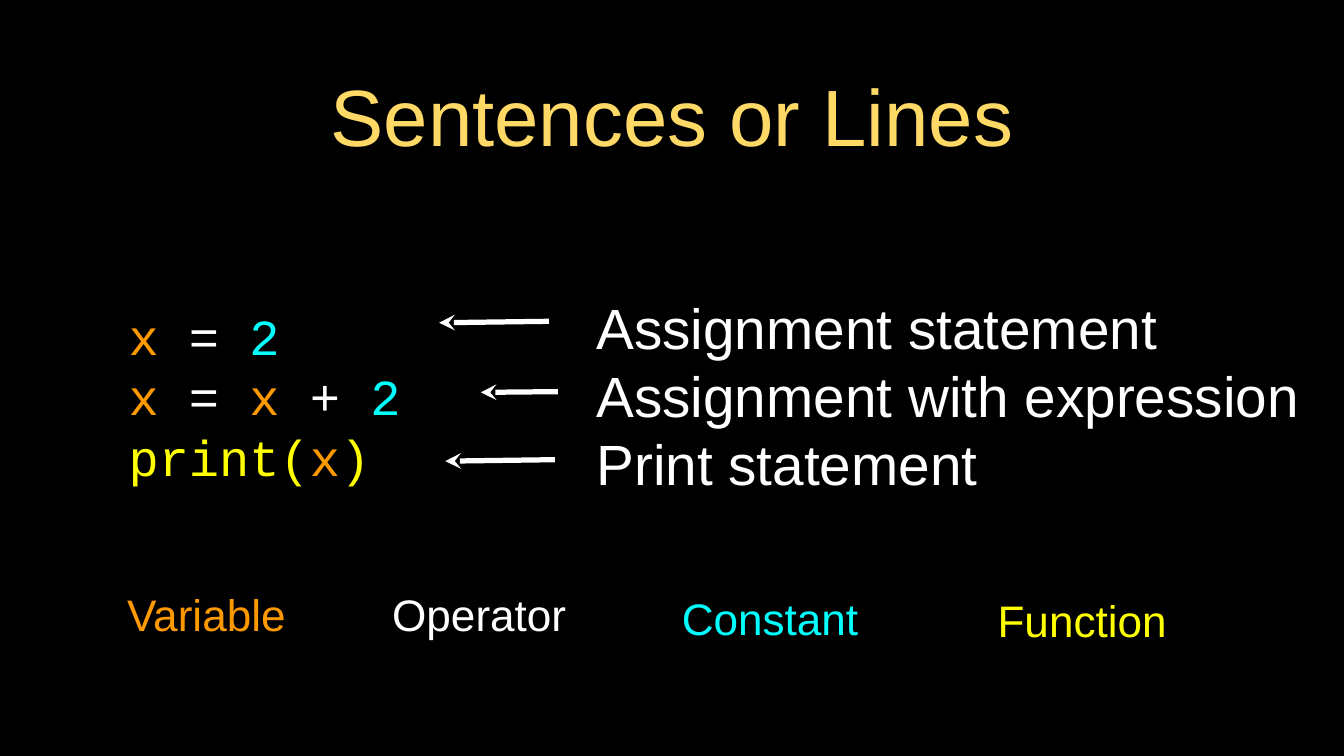
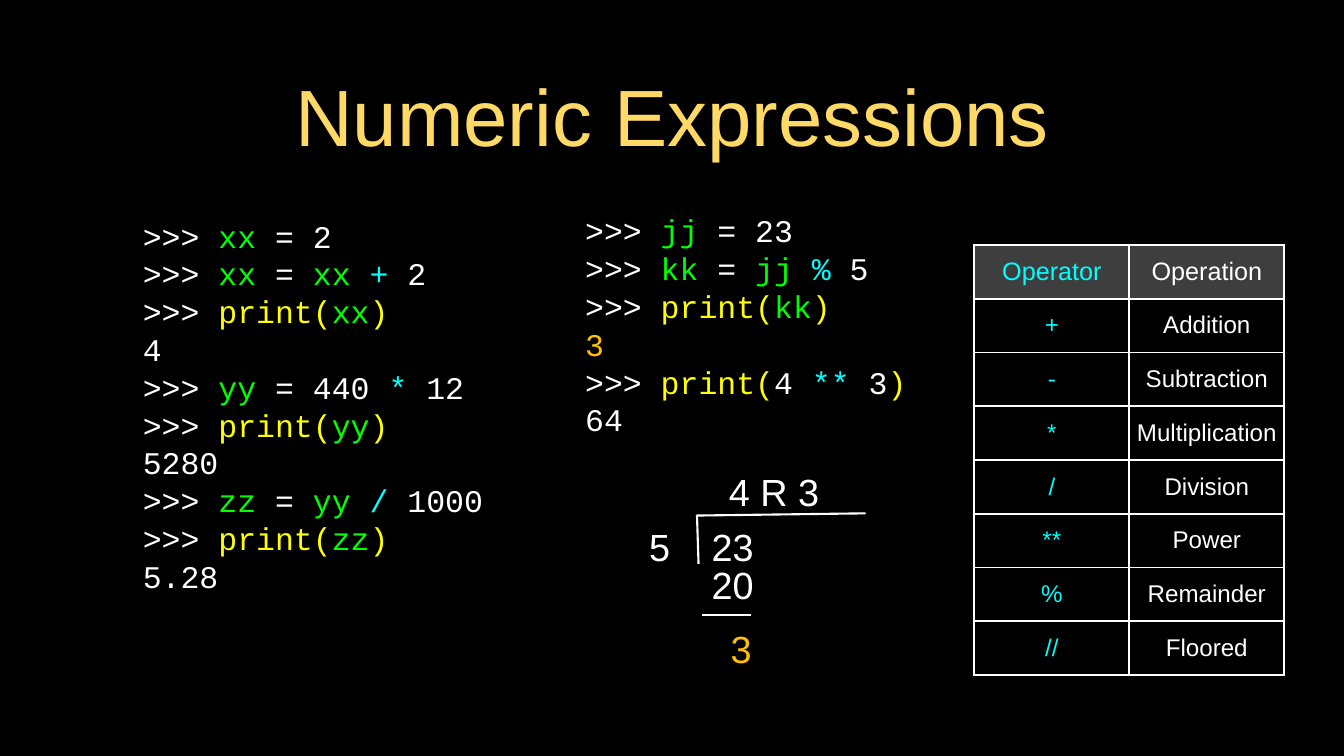
"""Build two slides on Python statements and numeric expressions."""
from lxml.etree import SubElement
from pptx import Presentation
from pptx.dml.color import RGBColor
from pptx.enum.shapes import MSO_CONNECTOR
from pptx.enum.text import MSO_ANCHOR, MSO_AUTO_SIZE, PP_ALIGN
from pptx.oxml.ns import qn
from pptx.util import Pt

COLORS = {"w": "FFFFFF", "o": "FF9900", "c": "00FFFF", "y": "FFFF00",
          "g": "00FF00", "a": "FFC000", "t": "FFD966"}
SANS, MONO = "Arial", "Courier New"
TITLE_BOX = (64, 62, 1152, 87)

STATEMENTS = ["ox ~w= ~c2", "ox ~w= ~ox ~w+ ~c2", "yprint(~ox~y)"]
MEANINGS = ["wAssignment statement", "wAssignment with expression", "wPrint statement"]
LEGEND = [("oVariable", 104.4, 554.4, 184.3), ("wOperator", 370, 554.4, 172.8),
          ("cConstant", 636.5, 558, 193.7), ("yFunction", 912.2, 559.4, 236.9)]
ARROWS = [(418.3, 307.4, 522.7, 306), (457.9, 373.7, 531.4, 373),
          (424.1, 439.2, 528.5, 437.8)]

ARITHMETIC = ["w>>> ~gxx~w = 2", "w>>> ~gxx~w = ~gxx ~c+~w 2", "w>>> ~yprint(~gxx~y)", "w4",
              "w>>> ~gyy~w = 440 ~c*~w 12", "w>>> ~yprint(~gyy~y)", "w5280",
              "w>>> ~gzz~w = ~gyy ~c/~w 1000", "w>>> ~yprint(~gzz~y)", "w5.28"]
REMAINDER = ["w>>> ~gjj~w = 23", "w>>> ~gkk~w = ~gjj ~c% ~w5", "w>>> ~yprint(~gkk~y)", "a3",
             "w>>> ~yprint(~w4 ~c** ~w3~y)", "w64"]
DIVISION = [("w5", 614.9, 493.9, 26.6), ("w23", 675.4, 493.9, 44.6),
            ("w4 R 3", 694.1, 441.4, 86.4), ("w20", 675.4, 529.9, 44.6),
            ("a3", 692.6, 591.1, 26.6)]
DIVISION_LINES = [(663.8, 490.3, 665.3, 537.1), (663.8, 491, 824.4, 488.9),
                  (668.9, 586.1, 715, 586.1)]
OPERATORS = [("Operator", "Operation"), ("+", "Addition"), ("-", "Subtraction"),
             ("*", "Multiplication"), ("/", "Division"), ("**", "Power"),
             ("%", "Remainder"), ("//", "Floored")]


def rgb(value):
    return RGBColor.from_string(value)


def fill_text(tf, lines, size, font, align, inset=0):
    """Write lines of '~'-separated segments, each led by its colour key."""
    tf.word_wrap = True
    tf.auto_size = MSO_AUTO_SIZE.NONE
    tf.vertical_anchor = MSO_ANCHOR.MIDDLE
    tf.margin_left = tf.margin_right = tf.margin_bottom = Pt(inset)
    tf.margin_top = Pt(inset + 0.1 * size)
    for i, line in enumerate(lines):
        p = tf.add_paragraph() if i else tf.paragraphs[0]
        p.alignment = align
        p.line_spacing = Pt(1.2 * size)
        for segment in line.split("~"):
            r = p.add_run()
            r.text = segment[1:]
            r.font.size, r.font.name = Pt(size), font
            r.font.color.rgb = rgb(COLORS[segment[0]])


def add_text(s, lines, box, size, font=SANS, align=PP_ALIGN.LEFT):
    sp = s.shapes.add_textbox(*map(Pt, box))
    fill_text(sp.text_frame, lines, size, font, align)


def add_labels(s, labels, height, size):
    for text, left, top, width in labels:
        add_text(s, [text], (left, top, width, height), size, align=PP_ALIGN.CENTER)


def add_lines(s, lines, width, arrow=False):
    for ends in lines:
        cn = s.shapes.add_connector(MSO_CONNECTOR.STRAIGHT, *map(Pt, ends))
        cn.line.color.rgb = rgb(COLORS["w"])
        cn.line.width = Pt(width)
        if arrow:
            SubElement(cn.line._get_or_add_ln(), qn("a:headEnd"), type="stealth")
        SubElement(cn._element.spPr, qn("a:effectLst"))


def add_borders(cell, width):
    pr = cell._tc.get_or_add_tcPr()
    for i, side in enumerate(("lnL", "lnR", "lnT", "lnB")):
        ln = pr.makeelement(qn("a:" + side), {"w": str(Pt(width))})
        SubElement(SubElement(ln, qn("a:solidFill")), qn("a:srgbClr"), val=COLORS["w"])
        pr.insert(i, ln)


def add_operator_table(s, rows, box):
    table = s.shapes.add_table(len(rows), 2, *map(Pt, box)).table
    table.horz_banding = False
    for row, values in zip(table.rows, rows):
        header = values == rows[0]
        row.height = Pt(box[3] / len(rows))
        for cell, value, key in zip(row.cells, values, "cw"):
            cell.text = value
            cell.vertical_anchor = MSO_ANCHOR.MIDDLE
            cell.margin_left = cell.margin_right = Pt(3)
            cell.margin_top = cell.margin_bottom = Pt(3)
            p = cell.text_frame.paragraphs[0]
            p.alignment = PP_ALIGN.CENTER
            font = p.runs[0].font
            font.size, font.name, font.bold = Pt(24 if header else 23), SANS, False
            font.color.rgb = rgb(COLORS[key])
            if header:
                cell.fill.solid()
                cell.fill.fore_color.rgb = rgb("7F7F7F")
                tint = cell._tc.tcPr.find(".//" + qn("a:srgbClr"))
                SubElement(tint, qn("a:alpha"), val="49000")
            else:
                cell.fill.background()
            add_borders(cell, 2)


def add_slide(prs, title):
    s = prs.slides.add_slide(prs.slide_layouts[5])
    sp = s.shapes.title
    sp.left, sp.top, sp.width, sp.height = map(Pt, TITLE_BOX)
    fill_text(sp.text_frame, ["t" + title], 76, SANS, PP_ALIGN.CENTER, 3)
    return s


def main():
    prs = Presentation()
    prs.slide_width, prs.slide_height = Pt(1280), Pt(720)
    background = prs.slide_master.background.fill
    background.solid()
    background.fore_color.rgb = rgb("000000")

    s = add_slide(prs, "Sentences or Lines")
    add_text(s, STATEMENTS, (122.4, 215.3, 315.4, 318.2), 48, MONO)
    add_labels(s, LEGEND, 56.9, 42)
    add_text(s, MEANINGS, (568, 213.8, 693.4, 318.2), 54)
    add_lines(s, ARROWS, 5, arrow=True)

    s = add_slide(prs, "Numeric Expressions")
    add_text(s, ARITHMETIC, (136, 175.7, 351.4, 418.3), 30, MONO)
    add_text(s, REMAINDER, (557.3, 180.7, 316.8, 254.2), 30, MONO)
    add_operator_table(s, OPERATORS, (928, 233.3, 295.2, 409.7))
    add_lines(s, DIVISION_LINES, 2)
    add_labels(s, DIVISION, 49, 36)
    prs.save("out.pptx")


if __name__ == "__main__":
    main()
